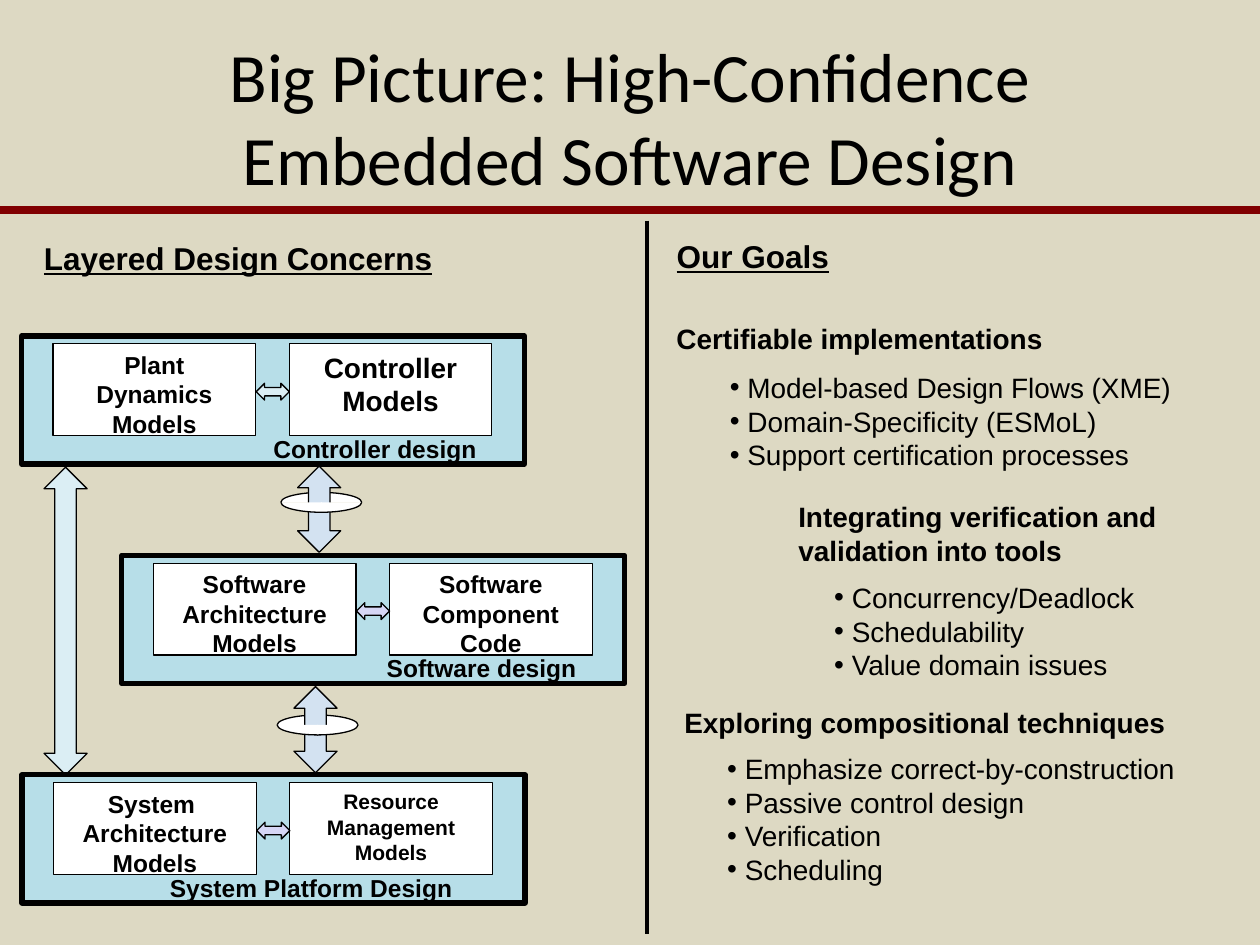
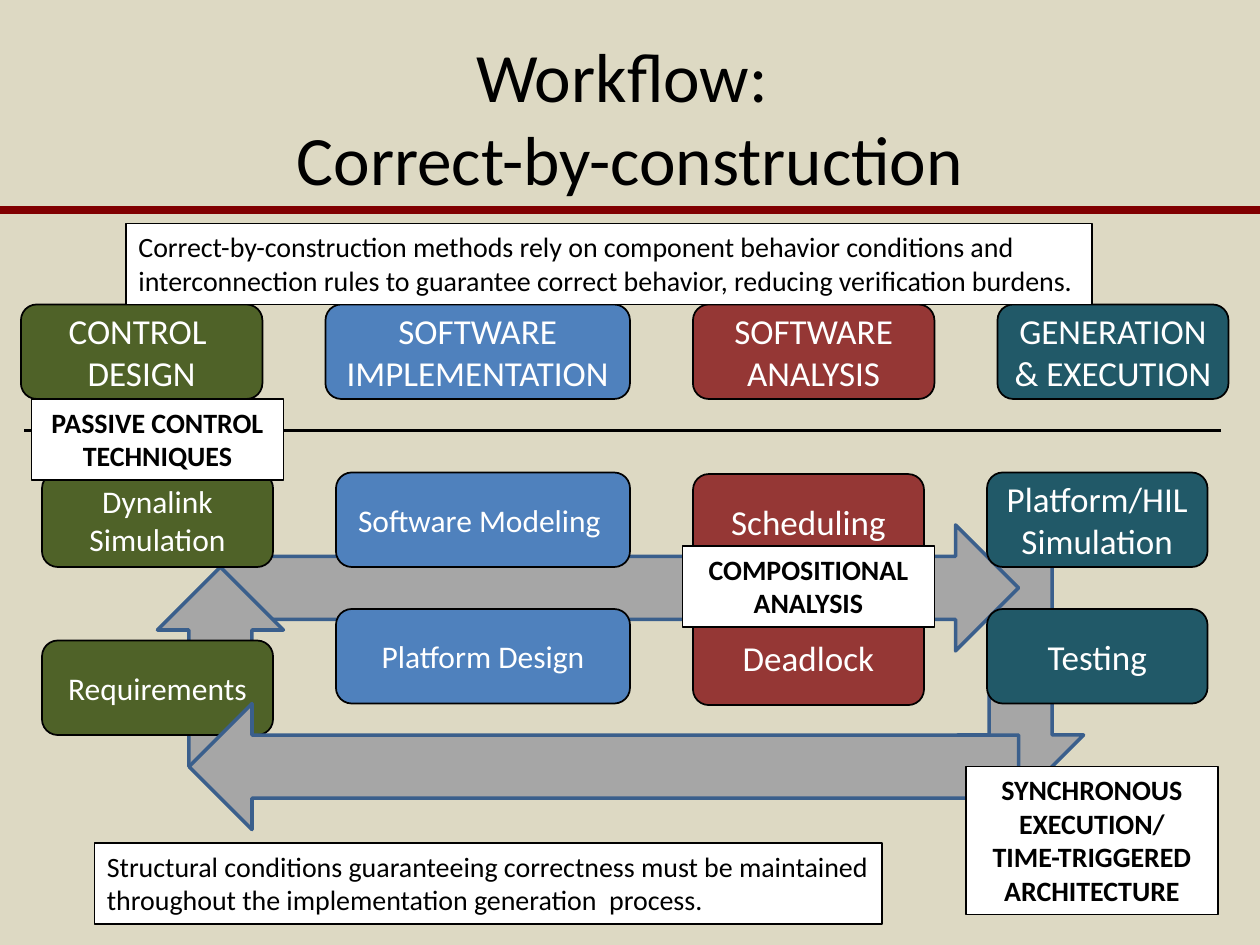
from pptx import Presentation
from pptx import util as u
from pptx.dml.color import RGBColor
from pptx.enum import shapes, text
from pptx.oxml.ns import qn
from lxml import etree

COLS, ROWS = 120, 90
WIDTH, HEIGHT = u.Inches(10), u.Inches(7.5)
C = dict(sand="DDD9C3", maroon="800000", black="000000", white="FFFFFF",
         block="B7DEE8", ice="DBEEF4", lilac="D6D6F5", mist="D3E2F1",
         gray="A6A6A6", navy="3A5F8C", green="4F6228", blue="4F81BD",
         red="953735", teal="215968")
SHAPE = shapes.MSO_SHAPE
LEFT, CENTER = text.PP_ALIGN.LEFT, text.PP_ALIGN.CENTER
TOP, MIDDLE = text.MSO_ANCHOR.TOP, text.MSO_ANCHOR.MIDDLE


def rgb(name):
    return RGBColor.from_string(C[name])


def grid(x, y, w, h):
    cw, rh = WIDTH / COLS, HEIGHT / ROWS
    return [u.Emu(round(v)) for v in (x * cw, y * rh, w * cw, h * rh)]


def place(sp, *cells):
    for name, value in zip(("left", "top", "width", "height"), grid(*cells)):
        setattr(sp, name, value)


def write(sp, lines, size, font="Arial", color="black", align=LEFT,
          anchor=TOP, wrap=True, **style):
    tf = sp.text_frame
    frame = dict(word_wrap=wrap, auto_size=text.MSO_AUTO_SIZE.NONE,
                 vertical_anchor=anchor)
    for name, value in frame.items():
        setattr(tf, name, value)
    look = dict(name=font, size=u.Pt(size), **style)
    for i, line in enumerate(lines):
        p = tf.add_paragraph() if i else tf.paragraphs[0]
        p.text, p.alignment, p.space_before = line, align, u.Pt(0)
        for r in p.runs:
            for name, value in look.items():
                setattr(r.font, name, value)
            r.font.color.rgb = rgb(color)


def add_title(s, line):
    sp = s.shapes.title
    place(sp, 6, 3.6, 108, 15)
    write(sp, [line], 39.6, "Calibri", align=CENTER, anchor=MIDDLE)


def add_box(s, kind, cells, fill, line="black", weight=0.75):
    sp = s.shapes.add_shape(kind, *grid(*cells))
    sp.shadow.inherit = False
    sp.fill.solid()
    sp.fill.fore_color.rgb = rgb(fill)
    sp.line.color.rgb = rgb(line)
    sp.line.width = u.Pt(weight)
    return sp


def add_label(s, cells, line, size, **style):
    write(s.shapes.add_textbox(*grid(*cells)), [line], size, bold=True, **style)


def add_line(s, x1, y1, x2, y2, color, weight):
    ln = s.shapes.add_connector(shapes.MSO_CONNECTOR.STRAIGHT, *grid(x1, y1, x2, y2))
    ln.line.color.rgb = rgb(color)
    ln.line.width = u.Pt(weight)
    etree.SubElement(ln._element.spPr, qn("a:effectLst"))
    return ln


def add_list(sp, cells, items):
    place(sp, *cells)
    write(sp, items, 16, bold=False)
    for p in sp.text_frame.paragraphs:
        pPr = p._p.get_or_add_pPr()
        indent = u.Inches(0.14)
        pPr.set("marL", str(indent))
        pPr.set("indent", str(-indent))
        etree.SubElement(pPr, qn("a:buFont")).set("typeface", "Arial")
        etree.SubElement(pPr, qn("a:buChar")).set("char", "\u2022")


def add_design_block(s, x, y, models, arrow_fill, label, label_x, label_w):
    add_box(s, SHAPE.RECTANGLE, (x, y, 47.9, 12.2), "block", weight=3)
    for i, (lines, size) in enumerate(models):
        sp = add_box(s, SHAPE.RECTANGLE, (x + 3 + 22.5 * i, y + 0.75, 19.3, 8.75), "white")
        write(sp, lines, size, align=CENTER, bold=True)
    add_box(s, SHAPE.LEFT_RIGHT_ARROW, (x + 22.35, y + 4.5, 3.15, 1.6), arrow_fill)
    add_label(s, (label_x, y + 8.75, label_w, 4.1), label, 14, wrap=False)


def add_ring_half(s, x, y, flip_v):
    for flip_h in (0, 1):
        sp = add_box(s, SHAPE.ARC, (x + 0.1 * flip_h, y, 7.8, 1.9), "white")
        xfrm = sp._element.spPr.find(qn("a:xfrm"))
        xfrm.set("flipH", str(flip_h))
        xfrm.set("flipV", str(flip_v))


def add_ringed_arrow(s, x, y, ring_y):
    add_ring_half(s, x, ring_y, 0)
    add_box(s, SHAPE.UP_DOWN_ARROW, (x + 1.7, y, 4.1, 8.2), "mist")
    add_ring_half(s, x, ring_y, 1)


def add_flow_arrow(s, cells, rotation):
    sp = add_box(s, SHAPE.RIGHT_ARROW, cells, "gray", "navy", 2)
    sp.rotation = rotation


def add_step(s, cells, fill, lines, size):
    sp = add_box(s, SHAPE.ROUNDED_RECTANGLE, cells, fill, weight=1)
    write(sp, lines, size, "Calibri", "white", CENTER, MIDDLE)


def add_note(s, cells, lines, **style):
    sp = add_box(s, SHAPE.RECTANGLE, cells, "white", weight=1)
    write(sp, lines, 16, "Calibri", **style)


def design_slide(prs):
    s = prs.slides.add_slide(prs.slide_layouts[4])
    add_title(s, "Big Picture: High-Confidence\vEmbedded Software Design")

    blocks = [
        (11.6, 1, [(["Software", "Architecture", "Models"], 14),
                   (["Software Component Code"], 14)],
         "lilac", "Software design", 35.65, 20.5),
        (2.05, 0, [(["Plant Dynamics", "Models"], 14), (["Controller Models"], 16)],
         "ice", "Controller design", 24.85, 21.85),
        (2.1, 2, [(["System ", "Architecture Models"], 14),
                  (["Resource", "Management", "Models"], 12)],
         "lilac", "System Platform Design", 15, 29.5),
    ]
    add_box(s, SHAPE.UP_DOWN_ARROW, (4.2, 44.5, 4.1, 29.3), "ice")
    for x, row, *rest in blocks:
        add_design_block(s, x, 32 + 20.9 * row, *rest)
    add_ringed_arrow(s, 26.65, 44.4, 46.9)
    add_ringed_arrow(s, 26.3, 65.4, 68.1)

    add_label(s, (63.25, 30, 56.75, 4.4), "Certifiable implementations", 16)
    add_label(s, (74.85, 47, 37.2, 7.7),
              "Integrating verification and validation into tools", 16)
    add_label(s, (64, 66.6, 56.75, 4.4), "Exploring compositional techniques", 16)

    lists = {
        2: ((68.3, 34.7, 50.75, 11.3),
            ["Model-based Design Flows (XME)", "Domain-Specificity (ESMoL)",
             "Support certification processes"]),
        3: ((78.25, 54.7, 50.75, 11.3),
            ["Concurrency/Deadlock", "Schedulability", "Value domain issues"]),
        4: ((68.05, 71, 50.75, 14.5),
            ["Emphasize correct-by-construction", "Passive control design",
             "Verification", "Scheduling"]),
    }
    for sp in list(s.placeholders):
        idx = sp.placeholder_format.idx
        if idx in lists:
            add_list(sp, *lists[idx])
        elif idx == 1:
            place(sp, 63.25, 22, 56.75, 4.8)
            write(sp, ["Our Goals"], 18, bold=True, underline=True)
    add_label(s, (3, 22.2, 56.75, 4.8), "Layered Design Concerns", 18, underline=True)
    add_line(s, 61.6, 21, 61.6, 89, "black", 2)


def workflow_slide(prs):
    s = prs.slides.add_slide(prs.slide_layouts[5])
    add_title(s, "Workflow: \vCorrect-by-construction")
    add_flow_arrow(s, (85.2, 58, 24, 12), 90)
    add_flow_arrow(s, (21, 50, 76, 12), 0)
    add_flow_arrow(s, (11.5, 57.5, 19, 12), 270)

    stages = [
        ("green", 2, 23, ["CONTROL ", "DESIGN"], 4, 22, 18,
         [(45, ["Dynalink", "Simulation"]), (61, ["Requirements"])]),
        ("blue", 31, 29, ["SOFTWARE", "IMPLEMENTATION"], 32, 28, 18,
         [(45, ["Software Modeling "]), (58, ["Platform Design"])]),
        ("red", 66, 23, ["SOFTWARE", "ANALYSIS"], 66, 22, 20,
         [(45.15, ["Scheduling"]), (58.15, ["Deadlock"])]),
        ("teal", 95, 22, ["GENERATION", "& EXECUTION"], 94, 21, 20,
         [(45, ["Platform/HIL", "Simulation"]), (58, ["Testing"])]),
    ]
    for fill, x, w, heading, step_x, step_w, size, steps in stages:
        add_step(s, (x, 29, w, 9), fill, heading, 20)
        for y, lines in steps:
            add_step(s, (step_x, y, step_w, 9), fill, lines, size)
    add_flow_arrow(s, (18, 67, 79, 12), 180)
    add_line(s, 116.3, 41, 2.3, 41, "black", 2)

    add_note(s, (9, 80.3, 75, 7.7),
             ["Structural conditions guaranteeing correctness must be maintained "
              "throughout the implementation generation  process."])
    add_note(s, (12, 21.3, 92, 7.7),
             ["Correct-by-construction methods rely on component behavior conditions and "
              "interconnection rules to guarantee correct behavior, reducing "
              "verification burdens."])
    techniques = [
        (3, 38, 7.7, ["PASSIVE CONTROL", "TECHNIQUES"]),
        (65, 52, 7.7, ["COMPOSITIONAL", "ANALYSIS"]),
        (92, 73, 14.1, ["SYNCHRONOUS EXECUTION/", "TIME-TRIGGERED", "ARCHITECTURE"]),
    ]
    for x, y, h, lines in techniques:
        add_note(s, (x, y, 24, h), lines, align=CENTER, bold=True)


def style_master(prs, s):
    master = prs.slide_master
    master.background.fill.solid()
    master.background.fill.fore_color.rgb = rgb("sand")
    band = add_line(s, 0, 20, COLS, 20, "maroon", 4.5)
    master.shapes._spTree.append(band._element)


def main():
    prs = Presentation()
    prs.slide_width, prs.slide_height = WIDTH, HEIGHT
    design_slide(prs)
    workflow_slide(prs)
    style_master(prs, prs.slides[0])
    prs.save("out.pptx")


main()
